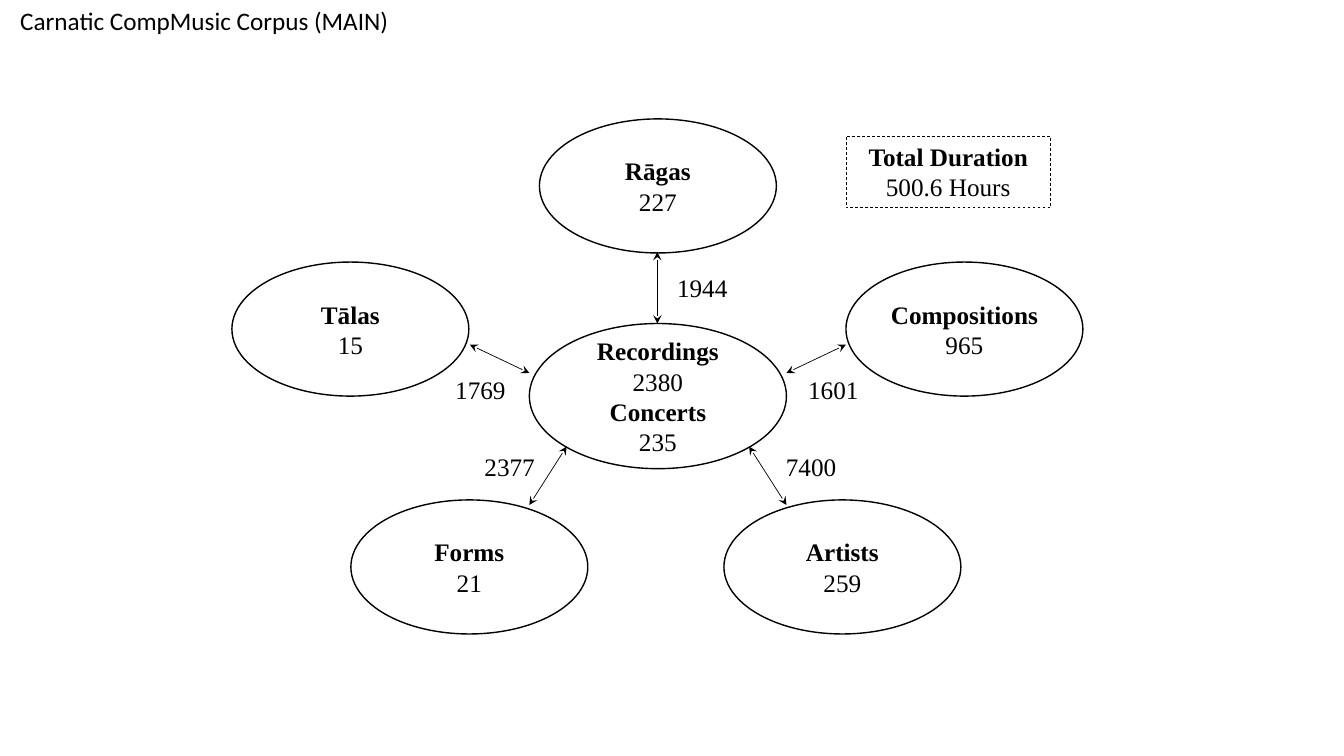
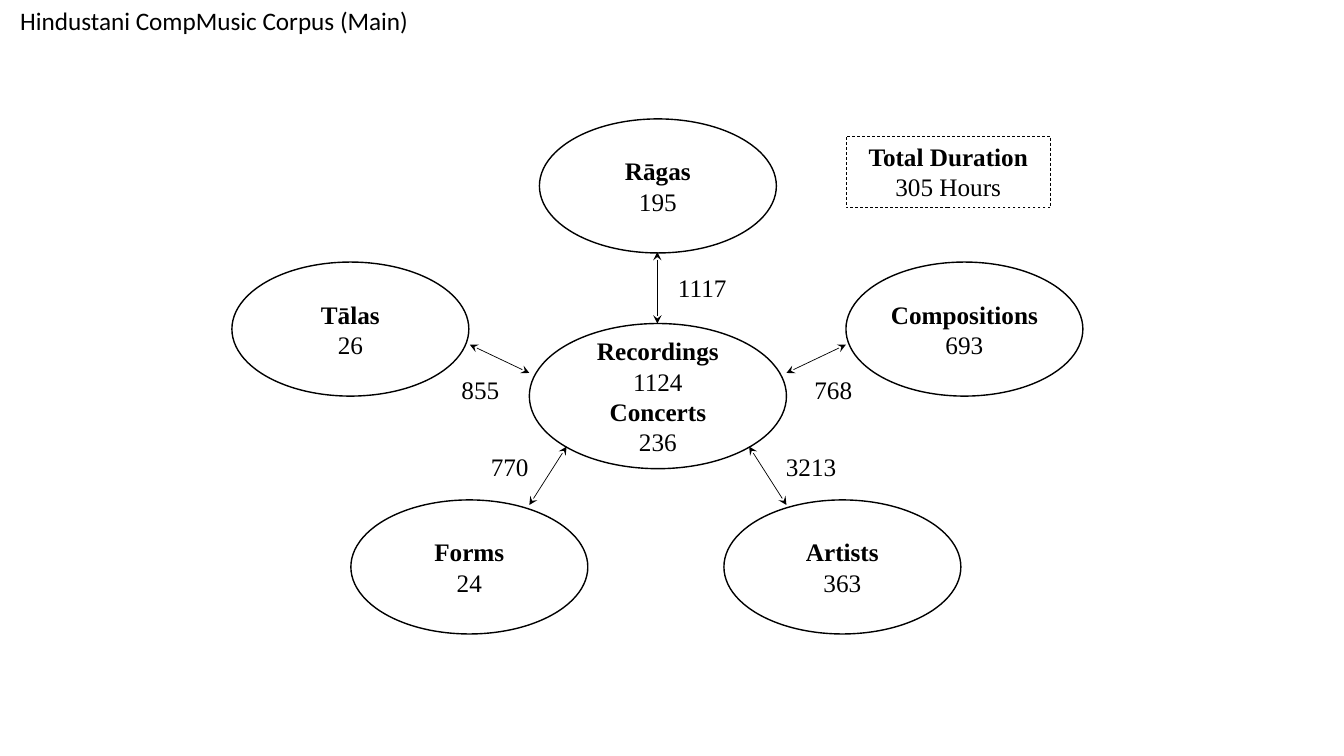
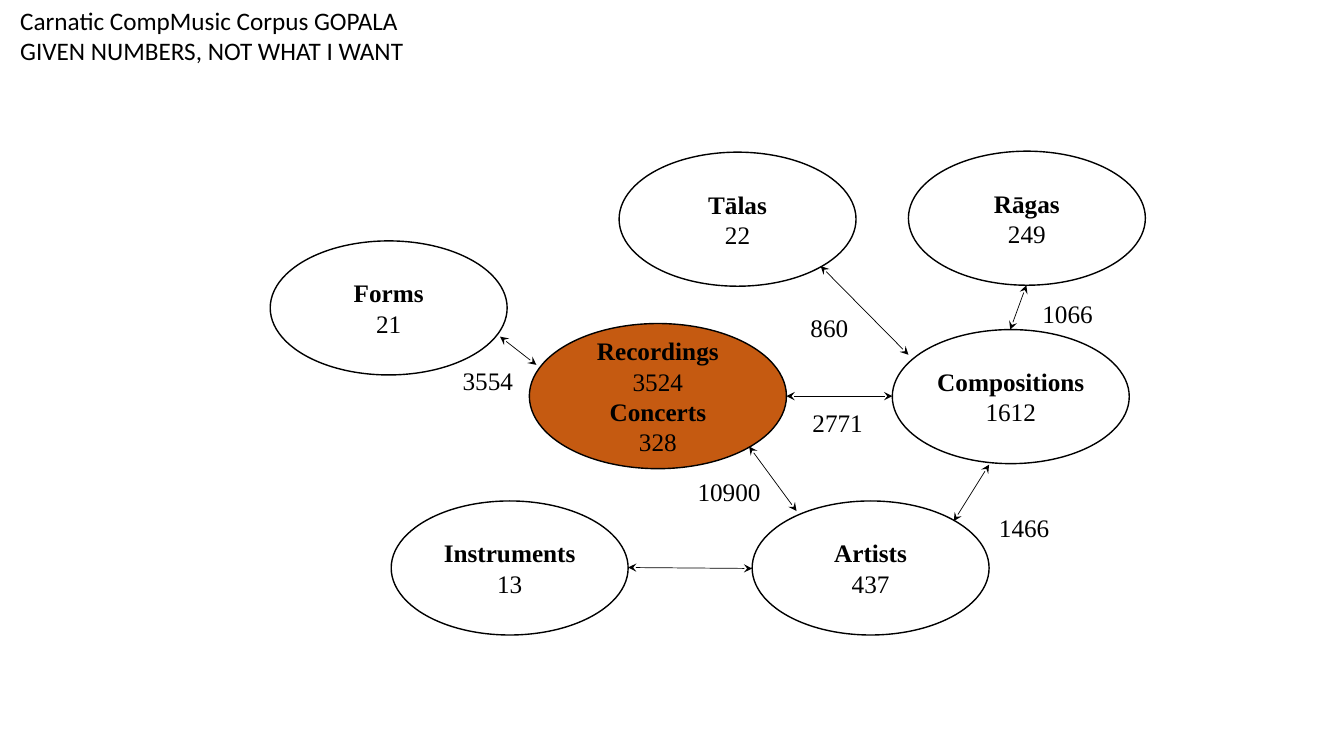
from lxml import etree
from pptx import Presentation
from pptx.dml.color import RGBColor
from pptx.enum.dml import MSO_LINE
from pptx.enum.shapes import MSO_CONNECTOR, MSO_SHAPE
from pptx.enum.text import MSO_ANCHOR, MSO_AUTO_SIZE, PP_ALIGN
from pptx.oxml.ns import qn
from pptx.util import Inches, Pt

BLACK, ORANGE = "000000", "C55A11"
TITLE_FONT, BODY_FONT = "Calibri", "Times New Roman"
NODE_SIZE = (2.35, 1.33)
HUB_BOX = (5.25, 3.21, 2.55, 1.44)
DURATION_BOX = (8.39, 1.35, 2.03, 0.71)
TITLE_WIDTH, LINE_HEIGHT = 4.18, 0.4


def color(hex_text):
    return RGBColor.from_string(hex_text)


def write(shape, lines, font=BODY_FONT, align=PP_ALIGN.CENTER, anchor=MSO_ANCHOR.TOP, headings=True):
    """Fill a shape with lines; headings are bold, figures are regular."""
    frame = shape.text_frame
    frame.text = "\n".join(lines)
    frame.word_wrap = True
    frame.auto_size = MSO_AUTO_SIZE.NONE
    frame.vertical_anchor = anchor
    for para in frame.paragraphs:
        para.alignment = align
        para.font.name = font
        para.font.size = Pt(18)
        para.font.bold = headings and not para.text[0].isdigit()
        para.font.color.rgb = color(BLACK)


# Arrangement with the hub in the middle, shared by the two main corpora
star_nodes = {
    "Compositions": (8.39, 2.6),
    "Artists": (7.18, 4.96),
    "Forms": (3.48, 4.96),
    "Tālas": (2.3, 2.6),
    "Rāgas": (5.35, 1.18),
}
star_arrows = [
    (6.52, 2.5, 6.52, 3.21),
    (4.66, 3.42, 5.25, 3.7),
    (8.39, 3.42, 7.8, 3.7),
    (5.62, 4.43, 5.25, 5.01),
    (7.43, 4.43, 7.8, 5.01),
]
# Label places follow the order of star_nodes
star_labels = [(7.8, 3.66), (7.58, 4.43), (4.59, 4.43), (4.3, 3.66), (6.5, 2.65)]

# Arrangement where compositions link to several nodes
network_nodes = {
    "Compositions": (8.85, 3.27),
    "Instruments": (3.88, 4.97),
    "Artists": (7.46, 4.97),
    "Forms": (2.68, 2.39),
    "Tālas": (6.14, 1.51),
    "Rāgas": (9.01, 1.5),
}
network_arrows = [
    (7.43, 4.43, 7.9, 5.07),
    (9.46, 5.17, 9.81, 4.61),
    (6.23, 5.63, 7.46, 5.64),
    (7.8, 3.93, 8.85, 3.93),
    (10.02, 3.27, 10.18, 2.83),
    (8.14, 2.64, 9.01, 3.52),
    (5.32, 3.62, 4.96, 3.34),
]
network_labels = [(9.81, 5.03), (7.96, 3.99), (6.82, 4.68), (4.49, 3.58), (7.94, 3.05), (10.24, 2.91)]

star = (star_nodes, star_arrows, star_labels, PP_ALIGN.CENTER)
network = (network_nodes, network_arrows, network_labels, PP_ALIGN.LEFT)

# Title, title lines, arrangement, hub fill, recordings, concerts, node counts, link counts, duration
corpora = [
    ("Carnatic CompMusic Corpus (MAIN)", 1, star, None, "2380", "235",
     ["965", "259", "21", "15", "227"],
     ["1601", "7400", "2377", "1769", "1944"], "500.6 Hours"),
    ("Hindustani CompMusic Corpus (Main)", 1, star, None, "1124", "236",
     ["693", "363", "24", "26", "195"],
     ["768", "3213", "770", "855", "1117"], "305 Hours"),
    ("Carnatic CompMusic Corpus GOPALA GIVEN NUMBERS, NOT WHAT I WANT", 2, network, ORANGE, "3524", "328",
     ["1612", "13", "437", "21", "22", "249"],
     ["1466", "2771", "10900", "3554", "860", "1066"], None),
]

deck = Presentation()
deck.slide_width, deck.slide_height = Inches(13.33), Inches(7.5)
title_only = deck.slide_layouts[5]

for title_text, title_lines, arrangement, hub_fill, recordings, concerts, counts, links, duration in corpora:
    nodes, arrows, label_places, label_align = arrangement
    slide = deck.slides.add_slide(title_only)

    # Title
    title = slide.shapes.title
    title.left, title.top = Inches(0.1), Inches(0)
    title.width = Inches(TITLE_WIDTH)
    title.height = Inches(0.1 + 0.3 * title_lines)
    write(title, [title_text], TITLE_FONT, PP_ALIGN.LEFT, headings=False)

    # Hub, nodes and the dashed duration box
    outlined = [(MSO_SHAPE.OVAL, HUB_BOX, ["Recordings", recordings, "Concerts", concerts], hub_fill)]
    for (name, place), count in zip(nodes.items(), counts):
        outlined.append((MSO_SHAPE.OVAL, place + NODE_SIZE, [name, count], None))
    if duration:
        outlined.append((MSO_SHAPE.RECTANGLE, DURATION_BOX, ["Total Duration", duration], None))
    for kind, bounds, lines, fill in outlined:
        box = slide.shapes.add_shape(kind, *map(Inches, bounds))
        box.shadow.inherit = False
        if fill:
            box.fill.solid()
            box.fill.fore_color.rgb = color(fill)
        else:
            box.fill.background()
        box.line.color.rgb = color(BLACK)
        if kind == MSO_SHAPE.OVAL:
            box.line.width = Pt(1)
            write(box, lines, anchor=MSO_ANCHOR.MIDDLE)
        else:
            box.line.width = Pt(0.5)
            box.line.dash_style = MSO_LINE.DASH
            write(box, lines)

    # Double-headed arrows
    for ends in arrows:
        arrow = slide.shapes.add_connector(MSO_CONNECTOR.STRAIGHT, *map(Inches, ends))
        arrow.line.color.rgb = color(BLACK)
        arrow.line.width = Pt(0.5)
        outline = arrow.line._get_or_add_ln()
        for end in ("a:headEnd", "a:tailEnd"):
            etree.SubElement(outline, qn(end), type="stealth")
        etree.SubElement(arrow._element.spPr, qn("a:effectLst"))

    # Link counts
    for (left, top), link in zip(label_places, links):
        label = slide.shapes.add_textbox(Inches(left), Inches(top), Inches(0.93), Inches(LINE_HEIGHT))
        write(label, [link], align=label_align)

deck.save("out.pptx")
